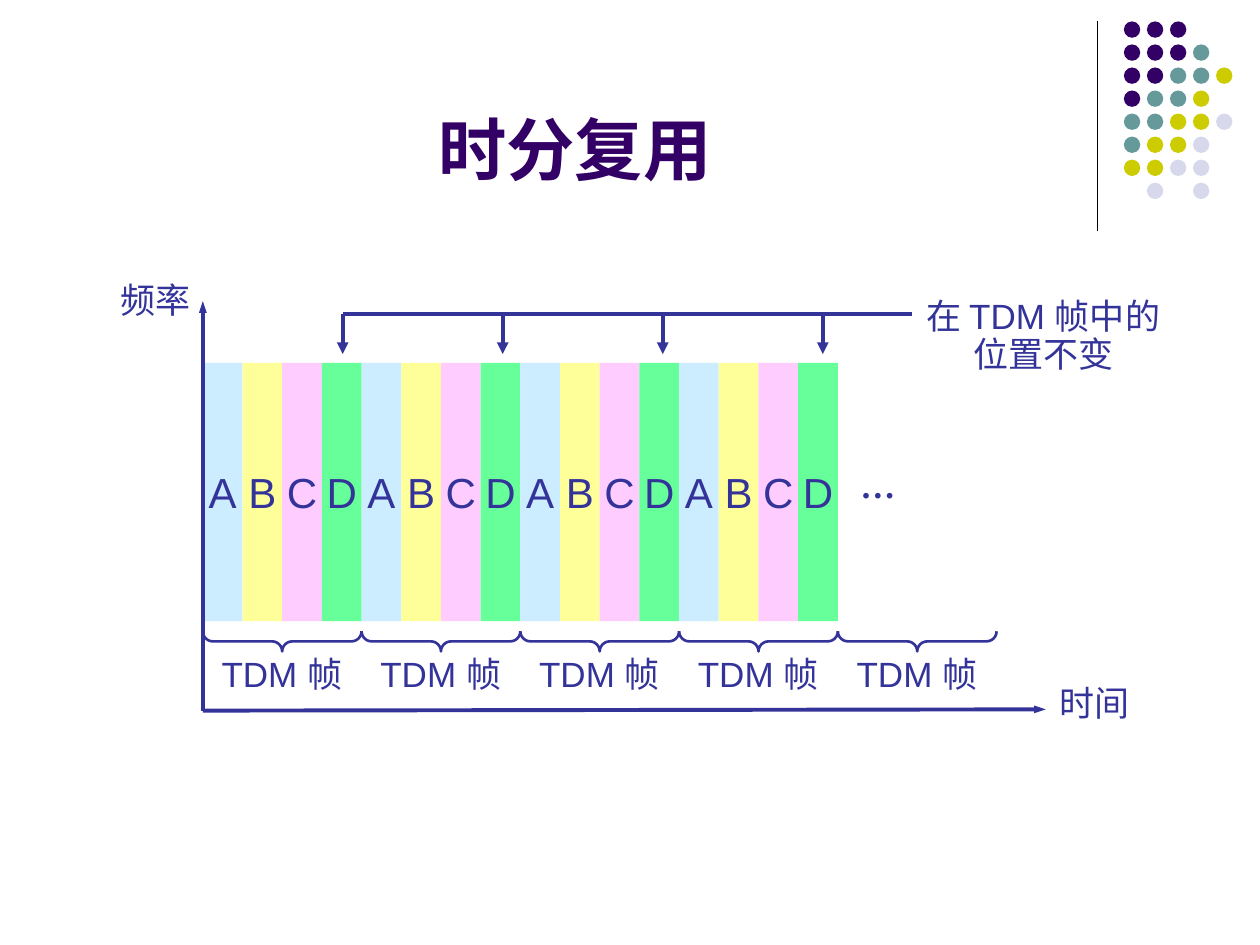
from lxml.etree import SubElement
from pptx import Presentation
from pptx.dml.color import RGBColor
from pptx.enum.shapes import MSO_CONNECTOR, MSO_SHAPE
from pptx.enum.text import MSO_ANCHOR, PP_ALIGN
from pptx.oxml.ns import qn
from pptx.util import Inches, Pt

INK = "333399"
PURPLE = "330066"
DOT_COLORS = {"P": PURPLE, "T": "669999", "Y": "CCCC00", "L": "D8D8EC"}
DOT_ROWS = ["PPP", "PPPT", "PPTTY", "PTTY", "TTYYL", "TYYL", "YYLL", " L L"]
DOT_LEFT, DOT_TOP, DOT_SIZE, DOT_PITCH = 8.92, 0.17, 0.13, 1.28 / 7

SLOTS = [("A", "CCECFF"), ("B", "FFFF99"), ("C", "FFCCFF"), ("D", "66FF99")]
FILLED_FRAMES, FRAMES = 4, 5
ORIGIN_X, ORIGIN_Y = 1.61, 5.64
FRAME_W = 1.26
SLOT_W = FRAME_W / len(SLOTS)
SLOT_TOP, SLOT_H = 2.88, 2.05
BRACE_TOP, BRACE_H = 5.01, 0.16
POINTER_X, POINTER_Y, POINTER_PITCH = 2.72, 2.49, 1.27
FRAME_LABEL = "TDM 帧"
LABELS = [
    ("频率", 0.86, 2.2, 0.75, 0.4, "Times New Roman"),
    ("时间", 8.31, 5.4, 0.75, 0.4, "Times New Roman"),
]
NOTE = "在 TDM 帧中的\n位置不变"


def rgb(value):
    """Turn a hex string into a colour."""
    return RGBColor.from_string(value)


def add_text(slide, text, x, y, w, h, font="Arial", size=20, color=INK,
             bold=False, align=PP_ALIGN.LEFT, anchor=MSO_ANCHOR.TOP, spacing=0.9):
    """Add a text box with one paragraph per line."""
    tf = slide.shapes.add_textbox(Inches(x), Inches(y), Inches(w), Inches(h)).text_frame
    tf.word_wrap = True
    tf.vertical_anchor = anchor
    if align == PP_ALIGN.LEFT:
        tf.margin_right = 0
    tf.text = text
    for p in tf.paragraphs:
        p.alignment = align
        p.line_spacing = spacing
        p.font.name, p.font.size, p.font.bold = font, Pt(size), bold
        p.font.color.rgb = rgb(color)


def add_line(slide, x1, y1, x2, y2, color=INK, width=2.25, arrow=None):
    """Add a straight line, with an arrowhead of the given width at its end."""
    line = slide.shapes.add_connector(
        MSO_CONNECTOR.STRAIGHT, Inches(x1), Inches(y1), Inches(x2), Inches(y2))
    line.line.color.rgb = rgb(color)
    line.line.width = Pt(width)
    if arrow:
        SubElement(line.line._get_or_add_ln(), qn("a:tailEnd"),
                   type="triangle", w=arrow, len="med")
    SubElement(line._element.spPr, qn("a:effectLst"))


def add_solid(slide, kind, x, y, w, h, color):
    """Add a filled shape without an outline."""
    sp = slide.shapes.add_shape(kind, Inches(x), Inches(y), Inches(w), Inches(h))
    sp.shadow.inherit = False
    sp.fill.solid()
    sp.fill.fore_color.rgb = rgb(color)
    sp.line.fill.background()
    return sp


def add_slot(slide, x, letter, color):
    """Add one time slot with its letter."""
    tf = add_solid(slide, MSO_SHAPE.RECTANGLE, x, SLOT_TOP, SLOT_W, SLOT_H, color).text_frame
    tf.margin_left = tf.margin_right = 0
    tf.vertical_anchor = MSO_ANCHOR.MIDDLE
    p = tf.paragraphs[0]
    p.text = letter
    p.alignment = PP_ALIGN.CENTER
    p.font.name, p.font.size = "Arial", Pt(24)
    p.font.color.rgb = rgb(INK)


def add_frame_brace(slide, x):
    """Add the downward brace and label of one frame."""
    left = x + (FRAME_W - BRACE_H) / 2
    top = BRACE_TOP + (BRACE_H - FRAME_W) / 2
    sp = slide.shapes.add_shape(MSO_SHAPE.LEFT_BRACE, Inches(left), Inches(top),
                                Inches(BRACE_H), Inches(FRAME_W))
    sp.rotation = 270
    sp.adjustments[0] = 0.5
    sp.shadow.inherit = False
    sp.fill.background()
    sp.line.color.rgb = rgb(INK)
    sp.line.width = Pt(1.5)
    add_text(slide, FRAME_LABEL, x + 0.05, 5.17, 1.22, 0.4)


def main():
    """Build the time division multiplexing slide."""
    prs = Presentation()
    prs.slide_width, prs.slide_height = Inches(10), Inches(7.5)
    slide = prs.slides.add_slide(prs.slide_layouts[6])

    add_line(slide, 8.71, 0.17, 8.71, 1.83, "000000", 0.75)
    for row, codes in enumerate(DOT_ROWS):
        for col, code in enumerate(codes):
            if code in DOT_COLORS:
                add_solid(slide, MSO_SHAPE.OVAL, DOT_LEFT + col * DOT_PITCH,
                          DOT_TOP + row * DOT_PITCH, DOT_SIZE, DOT_SIZE, DOT_COLORS[code])
    add_text(slide, "时分复用 ", 0.5, 0.13, 8.25, 1.42, size=39, color=PURPLE, bold=True,
             align=PP_ALIGN.CENTER, anchor=MSO_ANCHOR.BOTTOM, spacing=1.0)

    add_line(slide, ORIGIN_X, ORIGIN_Y, 8.3, 5.63, arrow="sm")
    for text, x, y, w, h, font in LABELS:
        add_text(slide, text, x, y, w, h, font)

    for i in range(FILLED_FRAMES):
        for j, (letter, color) in enumerate(SLOTS):
            add_slot(slide, ORIGIN_X + i * FRAME_W + j * SLOT_W, letter, color)
    add_text(slide, "…", 6.73, 3.63, 0.48, 0.43, "Times New Roman", bold=True, spacing=1.0)

    add_text(slide, NOTE, 7.15, 2.33, 2.26, 0.7, align=PP_ALIGN.CENTER)
    add_line(slide, POINTER_X, POINTER_Y, 7.24, POINTER_Y)
    for i in range(FILLED_FRAMES):
        x = POINTER_X + i * POINTER_PITCH
        add_line(slide, x, POINTER_Y, x, 2.81, arrow="med")

    for i in range(FRAMES):
        add_frame_brace(slide, ORIGIN_X + i * FRAME_W)
    add_line(slide, ORIGIN_X, ORIGIN_Y, ORIGIN_X, 2.39, arrow="sm")

    prs.save("out.pptx")


if __name__ == "__main__":
    main()
